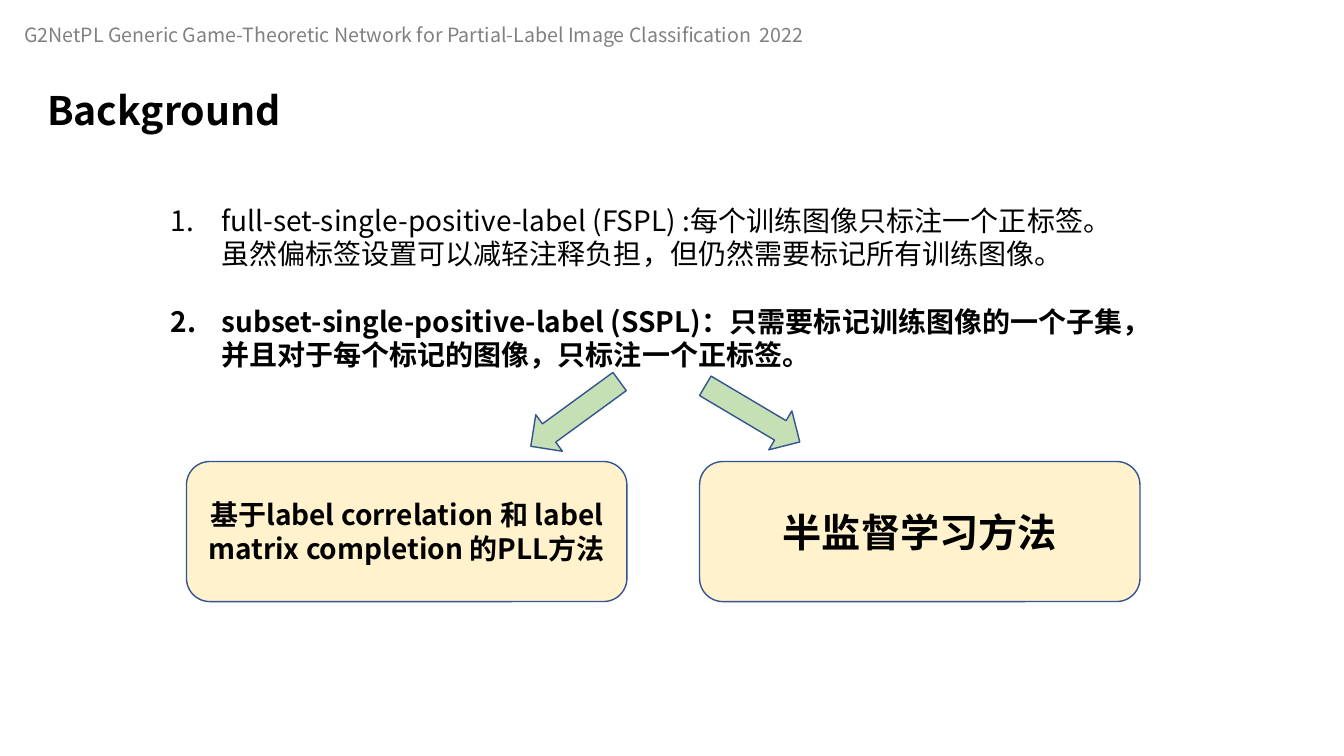
from dataclasses import dataclass

from lxml.etree import SubElement
from pptx import Presentation
from pptx.dml.color import RGBColor
from pptx.enum.shapes import MSO_SHAPE
from pptx.enum.text import MSO_ANCHOR, MSO_AUTO_SIZE, PP_ALIGN
from pptx.oxml.ns import qn
from pptx.util import Cm, Pt


@dataclass(frozen=True)
class Theme:
    font: str = "Noto Sans CJK SC"
    ink: str = "000000"
    muted: str = "808080"
    outline: str = "325491"
    box: str = "FFF2CC"
    arrow: str = "C5E0B4"
    caption: int = 14
    body: int = 20
    heading: int = 28


THEME = Theme()
DEFINITIONS = [
    ("full-set-single-positive-label (FSPL) :每个训练图像只标注一个正标签。"
     "虽然偏标签设置可以减轻注释负担，但仍然需要标记所有训练图像。", False),
    ("subset-single-positive-label (SSPL)：只需要标记训练图像的一个子集，"
     "并且对于每个标记的图像，只标注一个正标签。", True),
]


def write(paragraph, text, size=THEME.body, color=THEME.ink, bold=False,
          align=PP_ALIGN.LEFT):
    paragraph.alignment = align
    run = paragraph.add_run()
    run.text = text
    run.font.name = THEME.font
    run.font.size = Pt(size)
    run.font.bold = bold
    run.font.color.rgb = RGBColor.from_string(color)
    SubElement(run.font._element, qn("a:ea"), typeface=THEME.font)


def add_text_frame(slide, left, top, width, height):
    frame = slide.shapes.add_textbox(Cm(left), Cm(top), Cm(width), Cm(height)).text_frame
    frame.word_wrap = True
    frame.auto_size = MSO_AUTO_SIZE.SHAPE_TO_FIT_TEXT
    return frame


def number(paragraph, position):
    """Give the paragraph a hanging number."""
    properties = paragraph._p.get_or_add_pPr()
    indent = Cm(1.27)
    properties.set("marL", str(indent))
    properties.set("indent", str(-indent))
    SubElement(properties, qn("a:buFont"), typeface="+mj-lt")
    SubElement(properties, qn("a:buAutoNum"), type="arabicPeriod", startAt=str(position))


def add_definitions(slide):
    frame = add_text_frame(slide, 4.06, 5, 24.87, 5.38)
    for position, (definition, bold) in enumerate(DEFINITIONS, start=1):
        paragraph = frame.paragraphs[0] if position == 1 else frame.add_paragraph()
        if position > 1:
            paragraph.space_before = Pt(24)
        number(paragraph, position)
        write(paragraph, definition, bold=bold)


def add_outlined(slide, preset, left, top, width, height, fill):
    shape = slide.shapes.add_shape(preset, Cm(left), Cm(top), Cm(width), Cm(height))
    shape.shadow.inherit = False
    shape.fill.solid()
    shape.fill.fore_color.rgb = RGBColor.from_string(fill)
    shape.line.color.rgb = RGBColor.from_string(THEME.outline)
    shape.line.width = Pt(1)
    return shape


def add_method(slide, left, text, size):
    frame = add_outlined(slide, MSO_SHAPE.ROUNDED_RECTANGLE, left, 11.63, 11.1, 3.53,
                         THEME.box).text_frame
    frame.word_wrap = True
    frame.vertical_anchor = MSO_ANCHOR.MIDDLE
    write(frame.paragraphs[0], text, size=size, bold=True, align=PP_ALIGN.CENTER)


def add_arrow(slide, left, rotation):
    arrow = add_outlined(slide, MSO_SHAPE.RIGHT_ARROW, left, 9.86, 2.77, 1.14, THEME.arrow)
    arrow.rotation = rotation


def main():
    presentation = Presentation()
    presentation.slide_width, presentation.slide_height = Cm(33.87), Cm(19.05)
    slide = presentation.slides.add_slide(presentation.slide_layouts[6])

    paper = add_text_frame(slide, 0.36, 0.46, 29.95, 0.86)
    write(paper.paragraphs[0],
          "G2NetPL Generic Game-Theoretic Network for Partial-Label Image Classification  2022",
          size=THEME.caption, color=THEME.muted)
    add_definitions(slide)
    title = add_text_frame(slide, 0.94, 2.06, 7.57, 1.45)
    write(title.paragraphs[0], "Background", size=THEME.heading, bold=True)

    add_method(slide, 4.7, "基于label correlation 和 label matrix completion 的PLL方法", THEME.body)
    add_method(slide, 17.63, "半监督学习方法", THEME.heading)
    add_arrow(slide, 17.58, 30.7)
    add_arrow(slide, 13.11, 143.9)

    presentation.save("out.pptx")


if __name__ == "__main__":
    main()
